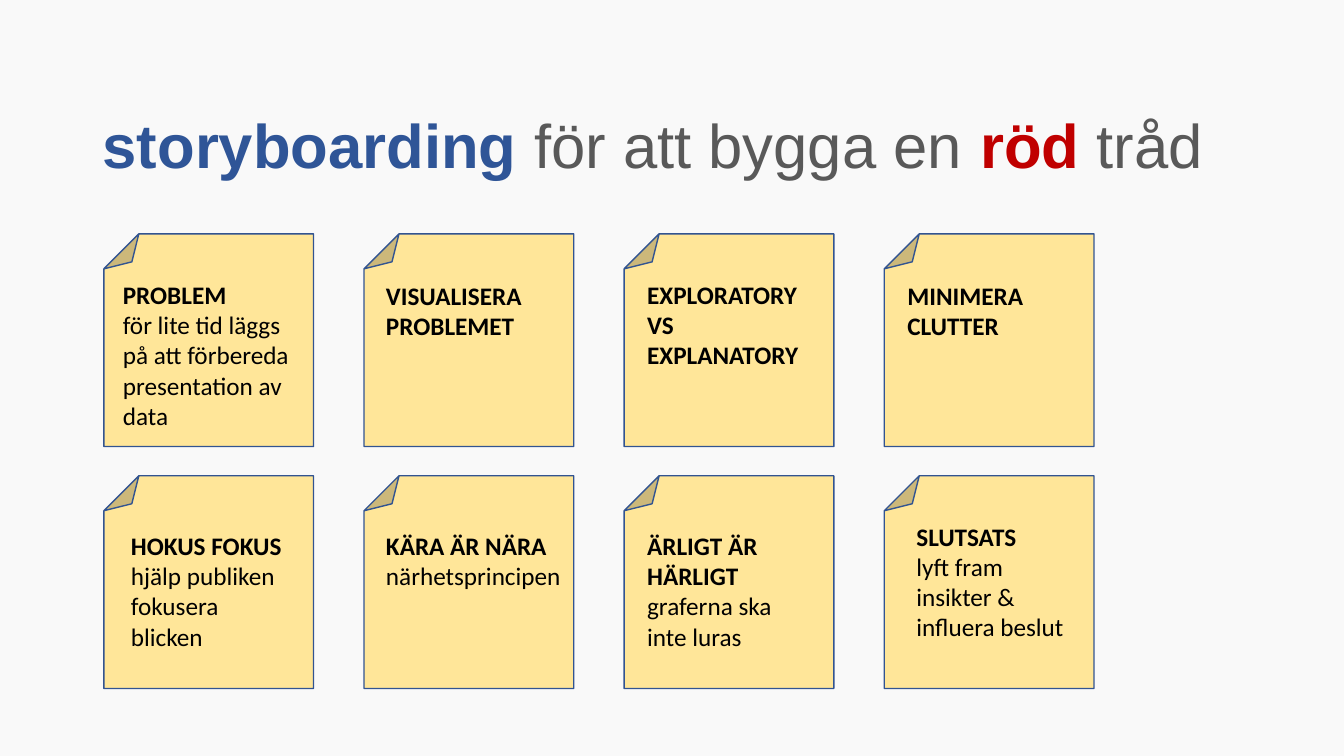
"""Build the storyboarding slide: a title above a grid of sticky notes."""
from dataclasses import dataclass

from pptx import Presentation
from pptx import util as u
from pptx.dml.color import RGBColor
from pptx.enum import shapes, text

PX = 9144
COLORS = {
    "background": "F9F9F9",
    "blue": "2F5597",
    "grey": "595959",
    "red": "C00000",
    "note": "FFE699",
    "outline": "325491",
    "black": "000000",
}
LEFT, TOP = 103, 232
NOTE_W, NOTE_H = 208, 211
COL_STEP, ROW_STEP = 258, 240


@dataclass(frozen=True)
class Note:
    col: int
    row: int
    heading: str
    body: str
    dx: int
    dy: int
    width: int
    height: int


@dataclass(frozen=True)
class TitlePart:
    text: str
    color: str
    bold: bool


NOTES = [
    Note(0, 0, "PROBLEM", "för lite tid läggs på att förbereda presentation av data", 9, 40, 199, 162),
    Note(1, 0, "VISUALISERA PROBLEMET", "", 12, 41, 182, 71),
    Note(2, 0, "EXPLORATORY VS EXPLANATORY", "", 13, 40, 176, 101),
    Note(3, 0, "MINIMERA CLUTTER", "", 13, 41, 182, 71),
    Note(0, 1, "HOKUS FOKUS", "hjälp publiken fokusera blicken", 17, 49, 182, 131),
    Note(1, 1, "KÄRA ÄR NÄRA", "närhetsprincipen", 12, 49, 195, 101),
    Note(2, 1, "ÄRLIGT ÄR HÄRLIGT", "graferna ska inte luras", 13, 49, 182, 131),
    Note(3, 1, "SLUTSATS", "lyft fram insikter & influera beslut", 22, 40, 185, 131),
]
TITLE = [
    TitlePart("storyboarding", "blue", True),
    TitlePart(" för att bygga en ", "grey", False),
    TitlePart("röd", "red", True),
    TitlePart(" tråd", "grey", False),
]


def px(*values: int) -> list[int]:
    return [v * PX for v in values]


def rgb(name: str) -> RGBColor:
    return RGBColor.from_string(COLORS[name])


def style(r, font: str, size: int, color: str, bold: bool) -> None:
    r.font.name = font
    r.font.size = u.Pt(size)
    r.font.color.rgb = rgb(color)
    r.font.bold = bold


def add_title(s) -> None:
    tf = s.shapes.add_textbox(*px(92, 40, 1150, 145)).text_frame
    tf.word_wrap = True
    tf.vertical_anchor = text.MSO_ANCHOR.BOTTOM
    p = tf.paragraphs[0]
    p.line_spacing = 0.9
    for part in TITLE:
        r = p.add_run()
        r.text = part.text
        style(r, "Arial", 44, part.color, part.bold)


def add_note(s, note: Note) -> None:
    left = LEFT + note.col * COL_STEP
    top = TOP + note.row * ROW_STEP
    group = s.shapes.add_group_shape()

    sp = group.shapes.add_shape(shapes.MSO_SHAPE.FOLDED_CORNER, *px(left, top, NOTE_W, NOTE_H))
    sp.rotation = 180
    sp.shadow.inherit = False
    sp.fill.solid()
    sp.fill.fore_color.rgb = rgb("note")
    sp.line.color.rgb = rgb("outline")
    sp.line.width = u.Pt(1)

    tf = group.shapes.add_textbox(*px(left + note.dx, top + note.dy, note.width, note.height)).text_frame
    tf.word_wrap = True
    tf.auto_size = text.MSO_AUTO_SIZE.SHAPE_TO_FIT_TEXT
    tf.text = "\n".join(filter(None, (note.heading, note.body)))
    for i, p in enumerate(tf.paragraphs):
        style(p.runs[0], "Calibri", 18, "black", i == 0)


def main() -> None:
    prs = Presentation()
    prs.slide_width, prs.slide_height = u.Inches(13.33), u.Inches(7.5)
    s = prs.slides.add_slide(prs.slide_layouts[6])
    s.background.fill.solid()
    s.background.fill.fore_color.rgb = rgb("background")
    add_title(s)
    for note in NOTES:
        add_note(s, note)
    prs.save("out.pptx")


if __name__ == "__main__":
    main()
